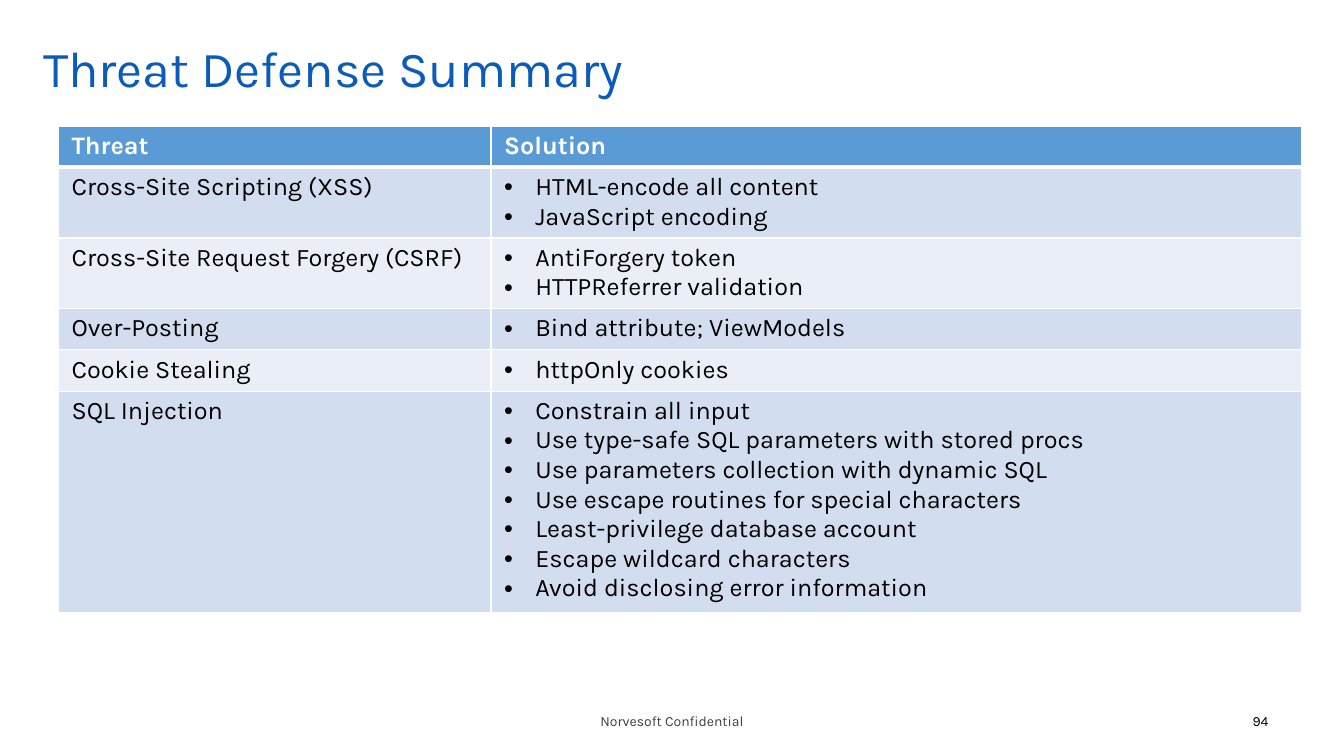
from lxml.etree import SubElement
from pptx import Presentation
from pptx.dml.color import RGBColor
from pptx.enum.text import MSO_ANCHOR as Anchor, PP_ALIGN as Align
from pptx.oxml.ns import qn
from pptx.util import Pt

EMU_PER_PX = 9144  # 100 px to the inch
FONT = "Karla"
COLORS = {
    "title": "0A5BBA",
    "footer": "3F3F3F",
    "text": "000000",
    "white": "FFFFFF",
    "header": "5B9BD5",
    "odd_row": "D2DEEF",
    "even_row": "EAEFF7",
}
THREATS = [
    ("Cross-Site Scripting (XSS)", ["HTML-encode all content", "JavaScript encoding"]),
    ("Cross-Site Request Forgery (CSRF)", ["AntiForgery token", "HTTPReferrer validation"]),
    ("Over-Posting", ["Bind attribute; ViewModels"]),
    ("Cookie Stealing", ["httpOnly cookies"]),
    ("SQL Injection", [
        "Constrain all input",
        "Use type-safe SQL parameters with stored procs",
        "Use parameters collection with dynamic SQL",
        "Use escape routines for special characters",
        "Least-privilege database account",
        "Escape wildcard characters",
        "Avoid disclosing error information",
    ]),
]


def px(length):
    return length * EMU_PER_PX


def color(name):
    return RGBColor.from_string(COLORS[name])


def add_run(paragraph, text, size, color_name, bold=False):
    run = paragraph.add_run()
    run.text = text
    run.font.name = FONT
    run.font.size = Pt(size)
    run.font.bold = bold
    run.font.color.rgb = color(color_name)


def add_label(slide, box, text, size, color_name, align=Align.LEFT, inset=10, spacing=1.0):
    frame = slide.shapes.add_textbox(*map(px, box)).text_frame
    frame.word_wrap = True
    frame.vertical_anchor = Anchor.MIDDLE
    frame.margin_left = frame.margin_right = px(inset)
    frame.margin_top = frame.margin_bottom = px(5)
    paragraph = frame.paragraphs[0]
    paragraph.alignment = align
    paragraph.line_spacing = spacing
    add_run(paragraph, text, size, color_name)


def add_bullet(paragraph):
    properties = paragraph._p.get_or_add_pPr()
    properties.set("marL", str(px(31)))
    properties.set("indent", str(-px(31)))
    SubElement(properties, qn("a:buFont"), typeface="Arial")
    SubElement(properties, qn("a:buChar"), char="•")


def set_borders(cell, top, bottom):
    properties = cell._tc.get_or_add_tcPr()
    for side, width in (("L", 1), ("R", 1), ("T", top), ("B", bottom)):
        line = SubElement(properties, qn(f"a:ln{side}"), w=str(Pt(width)))
        fill = SubElement(line, qn("a:solidFill"))
        SubElement(fill, qn("a:srgbClr"), val=COLORS["white"])


def fill_cell(cell, lines, fill, text_color="text", bold=False, bullets=False, top=1, bottom=1):
    set_borders(cell, top, bottom)
    cell.fill.solid()
    cell.fill.fore_color.rgb = color(fill)
    cell.margin_left = cell.margin_right = px(13)
    cell.margin_top = cell.margin_bottom = px(5)
    frame = cell.text_frame
    for index, line in enumerate(lines):
        paragraph = frame.add_paragraph() if index else frame.paragraphs[0]
        if bullets:
            add_bullet(paragraph)
        add_run(paragraph, line, 18, text_color, bold)


def add_threat_table(slide):
    frame = slide.shapes.add_table(len(THREATS) + 1, 2, px(58), px(125), px(1233), px(482))
    table = frame.table
    for column, width in zip(table.columns, (429, 804)):
        column.width = px(width)

    # Header row with a thicker rule below
    table.rows[0].height = px(41)
    for column, heading in enumerate(("Threat", "Solution")):
        fill_cell(table.cell(0, column), [heading], "header", "white", bold=True, bottom=3)

    # Body rows, as tall as their lists of solutions
    for row, (threat, solutions) in enumerate(THREATS, start=1):
        table.rows[row].height = px(12 + 29 * len(solutions))
        fill = "odd_row" if row % 2 else "even_row"
        top = 3 if row == 1 else 1
        fill_cell(table.cell(row, 0), [threat], fill, top=top)
        fill_cell(table.cell(row, 1), solutions, fill, bullets=True, top=top)


def main():
    presentation = Presentation()
    presentation.slide_width = px(1333)
    presentation.slide_height = px(750)
    slide = presentation.slides.add_slide(presentation.slide_layouts[6])

    # Title and table
    add_label(slide, (33, 33, 1233, 75), "Threat Defense Summary", 36, "title", spacing=0.9)
    add_threat_table(slide)

    # Footer and page number
    add_label(slide, (511, 695, 311, 40), "Norvesoft Confidential", 10, "footer",
              Align.CENTER, inset=20)
    add_label(slide, (968, 695, 300, 40), "94", 10, "text", Align.RIGHT)

    presentation.save("out.pptx")


if __name__ == "__main__":
    main()
